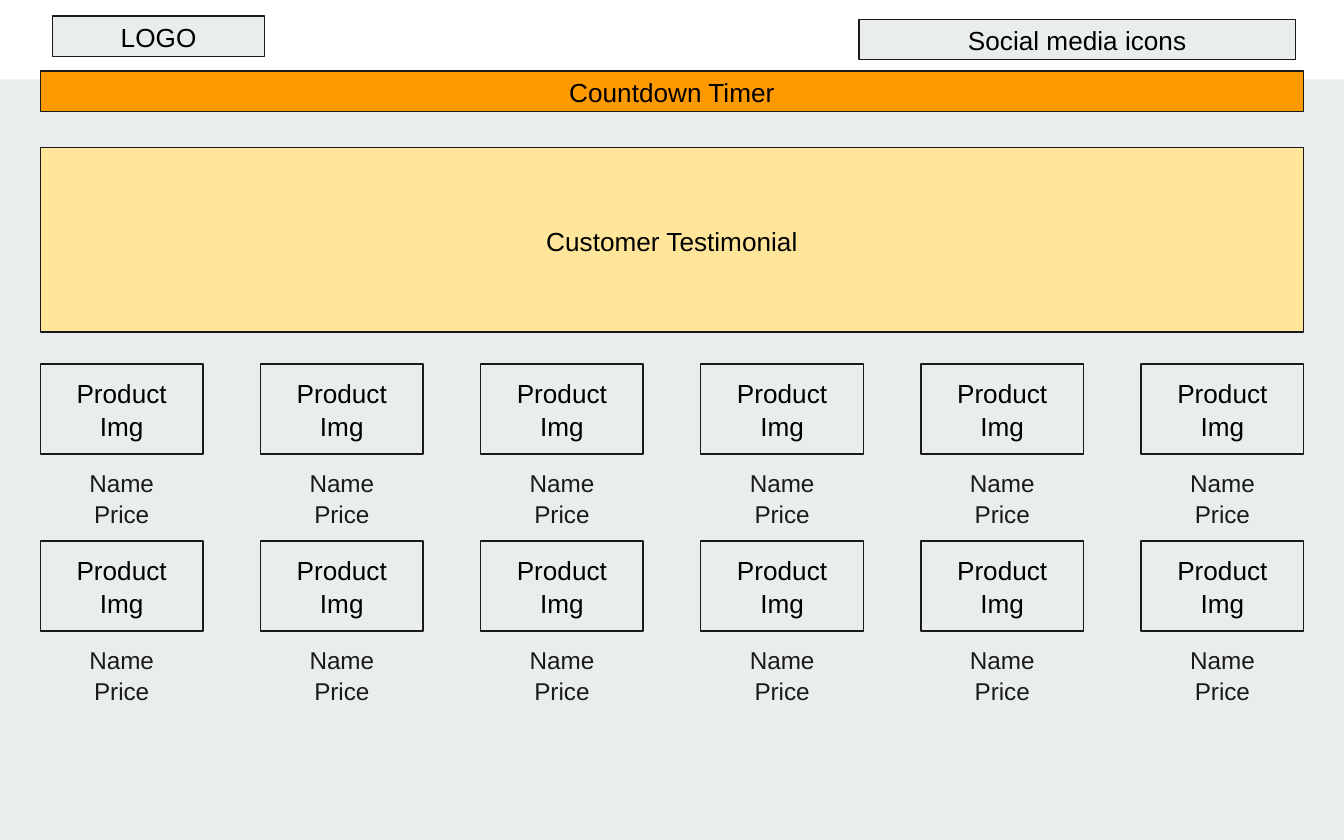
from dataclasses import dataclass
from itertools import product

from pptx import Presentation
from pptx.dml.color import RGBColor
from pptx.enum.shapes import MSO_SHAPE as Shape
from pptx.enum.text import MSO_ANCHOR as Anchor, PP_ALIGN as Align
from pptx.util import Inches, Pt


@dataclass(frozen=True)
class Theme:
    """Colours, type sizes and spacing of the wireframe."""
    font: str = "Arial"
    label_size: float = 14
    caption_size: float = 13
    line_spacing: float = 1.05
    outline_width: float = 0.75
    inset: float = 0.1
    paper: str = "E9EDEE"
    header: str = "FFFFFF"
    timer: str = "FF9900"
    testimonial: str = "FFE599"
    ink: str = "000000"
    outline: str = "1A1A1A"


class Wireframe:
    """Draws elements on a slide, measured in grid cells of a tenth of an inch."""

    cell = Inches(0.1)

    def __init__(self, slide, theme):
        """Keep the slide and theme, and colour the background."""
        self.slide = slide
        self.theme = theme
        self.paint(slide.background.fill, theme.paper)

    def paint(self, fill, colour):
        """Make a fill solid in one colour."""
        fill.solid()
        fill.fore_color.rgb = RGBColor.from_string(colour)

    def place(self, *cells):
        """Turn grid cells into slide lengths."""
        return [round(count * self.cell) for count in cells]

    def add_lines(self, shape, lines, size, colour, anchor):
        """Put centred paragraphs into a shape."""
        frame = shape.text_frame
        frame.word_wrap = True
        frame.vertical_anchor = anchor
        frame.margin_left = frame.margin_right = Inches(self.theme.inset)
        frame.margin_top = frame.margin_bottom = Inches(self.theme.inset)
        for index, line in enumerate(lines):
            paragraph = frame.add_paragraph() if index else frame.paragraphs[0]
            paragraph.alignment = Align.CENTER
            paragraph.line_spacing = self.theme.line_spacing
            run = paragraph.add_run()
            run.text = line
            run.font.name = self.theme.font
            run.font.size = Pt(size)
            run.font.color.rgb = RGBColor.from_string(colour)

    def band(self, colour, *cells):
        """Add a plain rectangle without an outline."""
        shape = self.slide.shapes.add_shape(Shape.RECTANGLE, *self.place(*cells))
        shape.shadow.inherit = False
        self.paint(shape.fill, colour)
        shape.line.fill.background()
        return shape

    def block(self, label, colour, *cells):
        """Add an outlined rectangle with a centred label."""
        shape = self.band(colour, *cells)
        self.paint(shape.line.fill, self.theme.outline)
        shape.line.width = Pt(self.theme.outline_width)
        self.add_lines(shape, [label], self.theme.label_size, self.theme.ink, Anchor.MIDDLE)

    def caption(self, lines, *cells):
        """Add a text box with one paragraph a line."""
        box = self.slide.shapes.add_textbox(*self.place(*cells))
        self.add_lines(box, lines, self.theme.caption_size, self.theme.outline, Anchor.TOP)

    def product_card(self, left, top, width):
        """Add a product image block with its name and price below."""
        self.block("Product Img", self.theme.paper, left, top, width, 6.7)
        self.caption(["Name", "Price"], left + 0.3, top + 7.15, width - 0.6, 1.5)


def main():
    """Build the shop page wireframe."""
    presentation = Presentation()
    presentation.slide_width, presentation.slide_height = Inches(10), Inches(6.25)
    theme = Theme()
    slide = presentation.slides.add_slide(presentation.slide_layouts[6])
    page = Wireframe(slide, theme)

    margin, content_width = 3, 94
    card_width, card_columns = 12.1, 6
    column_step = (content_width - card_width) / (card_columns - 1)
    first_row, row_step = 27.1, 13.15

    page.band(theme.header, 0, 0, 100, 5.9)
    page.block("LOGO", theme.paper, 3.9, 1.2, 15.8, 3)
    page.block("Social media icons", theme.paper, 63.9, 1.45, 32.5, 3)
    page.block("Countdown Timer", theme.timer, margin, 5.3, content_width, 3)
    page.block("Customer Testimonial", theme.testimonial, margin, 11, content_width, 13.7)
    for row, column in product(range(2), range(card_columns)):
        page.product_card(margin + column * column_step, first_row + row * row_step, card_width)

    presentation.save("out.pptx")


if __name__ == "__main__":
    main()
